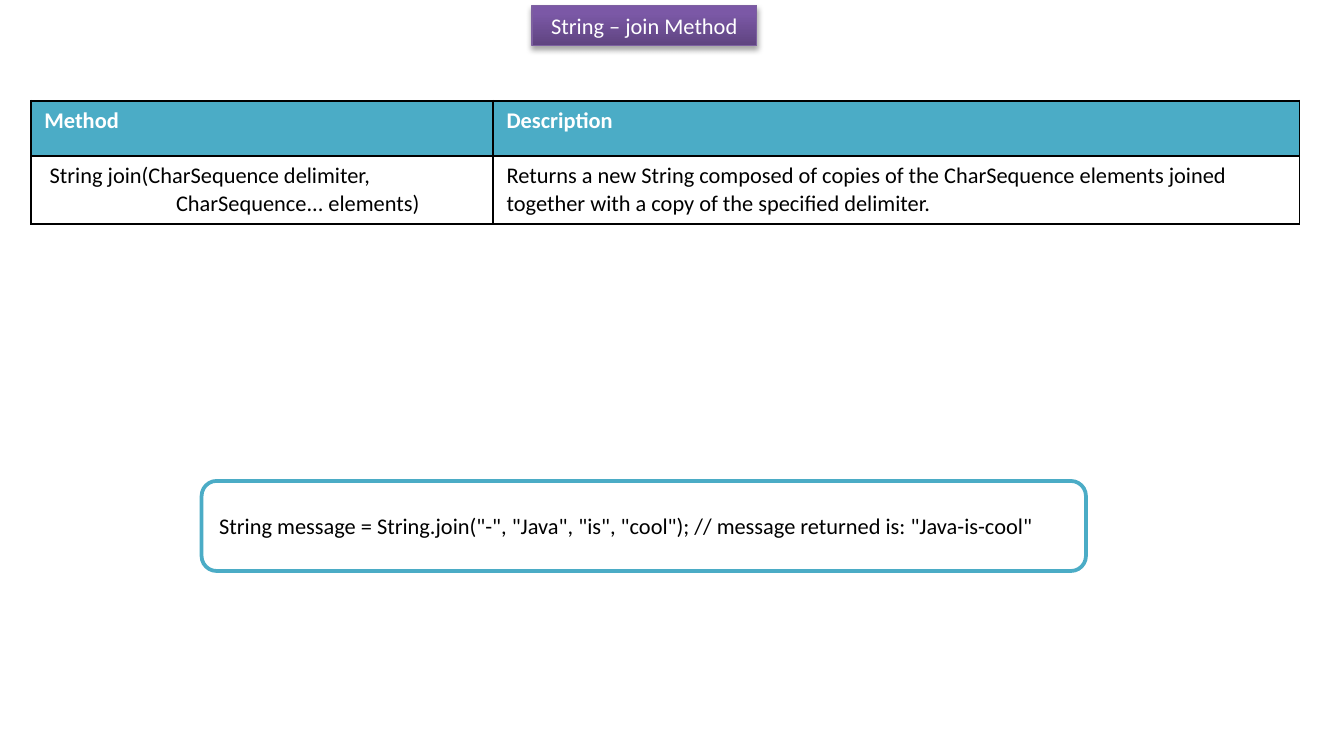
import copy

import lxml.etree
import pptx
import pptx.dml.color
import pptx.enum.shapes
import pptx.enum.text
import pptx.oxml
import pptx.oxml.ns
import pptx.util

Inches = pptx.util.Inches
Pt = pptx.util.Pt
RGBColor = pptx.dml.color.RGBColor
qn = pptx.oxml.ns.qn

WHITE = RGBColor(0xFF, 0xFF, 0xFF)
BLACK = RGBColor(0x00, 0x00, 0x00)
TEAL = RGBColor(0x4B, 0xAC, 0xC6)
PURPLE_LINE = RGBColor(0x7D, 0x60, 0xA0)
PURPLE_STOPS = [
    (0, RGBColor(0x5F, 0x44, 0x80)),
    (0.8, RGBColor(0x7B, 0x58, 0xA6)),
    (1, RGBColor(0x7C, 0x57, 0xA8)),
]


def style_text(paragraph, color, bold=False):
    paragraph.font.name = "Calibri"
    paragraph.font.size = Pt(12)
    paragraph.font.color.rgb = color
    paragraph.font.bold = bold


def add_box(kind, left, top, width, height, text, color, align):
    box = slide.shapes.add_shape(
        kind, Inches(left), Inches(top), Inches(width), Inches(height))
    box.shadow.inherit = False
    box.text_frame.text = text
    box.text_frame.word_wrap = True
    box.text_frame.vertical_anchor = pptx.enum.text.MSO_ANCHOR.MIDDLE
    box.text_frame.paragraphs[0].alignment = align
    style_text(box.text_frame.paragraphs[0], color)
    return box


presentation = pptx.Presentation()
presentation.slide_width = Inches(10)
presentation.slide_height = Inches(5.5)
slide = presentation.slides.add_slide(presentation.slide_layouts[6])

# Title banner
banner = add_box(
    pptx.enum.shapes.MSO_SHAPE.RECTANGLE, 3.96, 0.04, 1.67, 0.3,
    "String – join Method", WHITE, pptx.enum.text.PP_ALIGN.CENTER)
banner.line.color.rgb = PURPLE_LINE
banner.line.width = Pt(0.75)

# Banner gradient, dark at the bottom
banner.fill.gradient()
banner.fill.gradient_angle = 90
stop_list = banner._element.spPr.find(".//" + qn("a:gsLst"))
stop_list.append(copy.deepcopy(stop_list[-1]))
for stop, (position, color) in zip(banner.fill.gradient_stops, PURPLE_STOPS):
    stop.position = position
    stop.color.rgb = color

# Banner shadow
banner_effects = banner._element.spPr.find(qn("a:effectLst"))
shadow = lxml.etree.SubElement(
    banner_effects, qn("a:outerShdw"), blurRad=str(Pt(3.1)),
    dist=str(Pt(1.8)), dir="5400000", rotWithShape="0")
shadow_color = lxml.etree.SubElement(shadow, qn("a:srgbClr"), val=str(BLACK))
lxml.etree.SubElement(shadow_color, qn("a:alpha"), val="35000")

# Method table: each cell holds (indent, text) paragraphs
rows = [
    [[(0, "Method")], [(0, "Description")]],
    [
        [(0.04, "String join(CharSequence delimiter,"),
         (0.98, "CharSequence... elements)")],
        [(0, "Returns a new String composed of copies of the CharSequence "
             "elements joined together with a copy of the specified delimiter.")],
    ],
]
methods = slide.shapes.add_table(
    2, 2, Inches(0.23), Inches(0.75), Inches(9.44), Inches(0.91)).table
for column, width in zip(methods.columns, (3.44, 6)):
    column.width = Inches(width)
for row, height in zip(methods.rows, (0.41, 0.5)):
    row.height = Inches(height)

for row_index, row in enumerate(rows):
    is_header = row_index == 0
    for column_index, lines in enumerate(row):
        cell = methods.cell(row_index, column_index)
        cell.text = "\n".join(text for indent, text in lines)
        for paragraph, (indent, text) in zip(cell.text_frame.paragraphs, lines):
            paragraph._p.get_or_add_pPr().set("marL", str(Inches(indent)))
            style_text(paragraph, WHITE if is_header else BLACK, is_header)
        # Black border on all four sides
        cell_properties = cell._tc.get_or_add_tcPr()
        for side in ("a:lnL", "a:lnR", "a:lnT", "a:lnB"):
            border = lxml.etree.SubElement(
                cell_properties, qn(side), w=str(Pt(1)))
            border_fill = lxml.etree.SubElement(border, qn("a:solidFill"))
            lxml.etree.SubElement(border_fill, qn("a:srgbClr"), val=str(BLACK))
        cell.fill.solid()
        cell.fill.fore_color.rgb = TEAL if is_header else WHITE

# Code example
example = add_box(
    pptx.enum.shapes.MSO_SHAPE.ROUNDED_RECTANGLE, 1.5, 3.58, 6.58, 0.67,
    'String message = String.join("-", "Java", "is", "cool"); '
    '// message returned is: "Java-is-cool"',
    BLACK, pptx.enum.text.PP_ALIGN.LEFT)
example.fill.solid()
example.fill.fore_color.rgb = WHITE
example.line.color.rgb = TEAL
example.line.width = Pt(2)

presentation.save("out.pptx")
